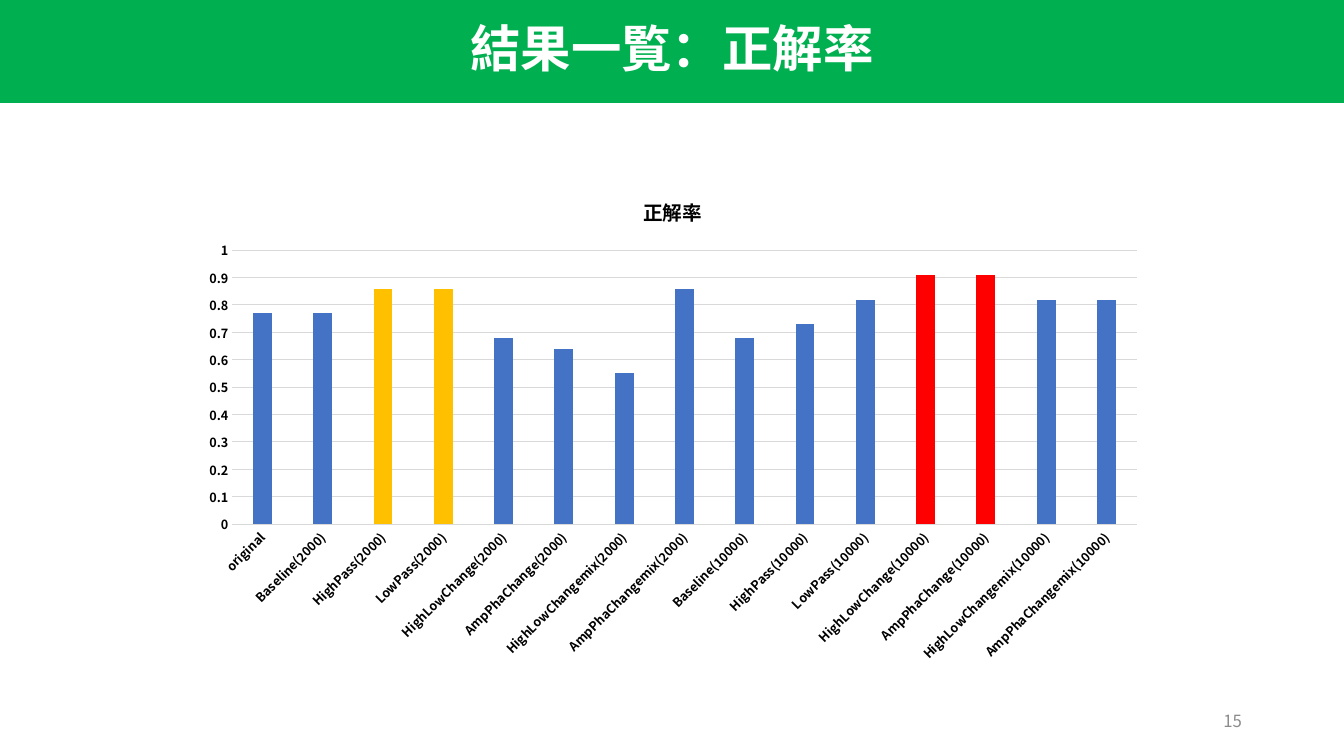
from lxml import etree
from pptx import Presentation
from pptx.chart.data import CategoryChartData
from pptx.dml.color import RGBColor
from pptx.enum.chart import XL_CHART_TYPE, XL_TICK_MARK
from pptx.enum.text import MSO_ANCHOR, MSO_AUTO_SIZE, PP_ALIGN
from pptx.oxml.ns import qn
from pptx.util import Emu, Pt

COLUMN = XL_CHART_TYPE.COLUMN_CLUSTERED
NO_TICK = XL_TICK_MARK.NONE
MIDDLE = MSO_ANCHOR.MIDDLE
NO_AUTOFIT = MSO_AUTO_SIZE.NONE
CENTER, RIGHT = PP_ALIGN.CENTER, PP_ALIGN.RIGHT

EMU_PER_PX = 914400 / 100.8
FONT = "Noto Sans CJK JP"
TITLE_ONLY_LAYOUT = 5
COLORS = {
    "banner": "00B050", "white": "FFFFFF", "black": "000000", "number": "8C8C8C",
    "grid": "D9D9D9", "bar": "4472C4", "good": "FFC000", "best": "FF0000",
}

# Accuracy of each method, with the colour of its bar
ACCURACY = [
    ("original", 0.77, "bar"),
    ("Baseline(2000)", 0.77, "bar"),
    ("HighPass(2000)", 0.86, "good"),
    ("LowPass(2000)", 0.86, "good"),
    ("HighLowChange(2000)", 0.68, "bar"),
    ("AmpPhaChange(2000)", 0.64, "bar"),
    ("HighLowChangemix(2000)", 0.55, "bar"),
    ("AmpPhaChangemix(2000)", 0.86, "bar"),
    ("Baseline(10000)", 0.68, "bar"),
    ("HighPass(10000)", 0.73, "bar"),
    ("LowPass(10000)", 0.82, "bar"),
    ("HighLowChange(10000)", 0.91, "best"),
    ("AmpPhaChange(10000)", 0.91, "best"),
    ("HighLowChangemix(10000)", 0.82, "bar"),
    ("AmpPhaChangemix(10000)", 0.82, "bar"),
]


def px(length):
    return Emu(round(length * EMU_PER_PX))


def color(name):
    return RGBColor.from_string(COLORS[name])


def style_font(font, size, color_name, bold=False):
    font.name, font.size, font.bold = FONT, Pt(size), bold
    font.color.rgb = color(color_name)


def use_east_asian_font(element):
    """Apply the same typeface to Japanese characters."""
    for latin in list(element.iter(qn("a:latin"))):
        east_asian = etree.Element(qn("a:ea"), typeface=FONT)
        latin.addnext(east_asian)


def style_line(line, color_name):
    line.color.rgb = color(color_name)
    line.width = Pt(0.75)


def write_text(shape, text, size, color_name, alignment, bold=False):
    frame = shape.text_frame
    frame.word_wrap = True
    frame.auto_size = NO_AUTOFIT
    frame.vertical_anchor = MIDDLE
    paragraph = frame.paragraphs[0]
    paragraph.alignment = alignment
    run = paragraph.add_run()
    run.text = text
    style_font(run.font, size, color_name, bold)
    use_east_asian_font(shape.element)


def add_banner_title(slide, text):
    title = slide.shapes.title
    title.left, title.top, title.width, title.height = px(0), px(-8), px(1344), px(111)
    title.fill.solid()
    title.fill.fore_color.rgb = color("banner")
    write_text(title, text, 36, "white", CENTER, bold=True)


def add_page_number(slide, text):
    box = slide.shapes.add_textbox(px(950), px(701), px(302), px(40))
    write_text(box, text, 12, "number", RIGHT)


def style_axes(chart):
    for axis in (chart.category_axis, chart.value_axis):
        axis.major_tick_mark = axis.minor_tick_mark = NO_TICK
        style_font(axis.tick_labels.font, 9, "black", bold=True)
    style_line(chart.category_axis.format.line, "grid")
    value_axis = chart.value_axis
    value_axis.minimum_scale, value_axis.maximum_scale = 0, 1
    value_axis.major_unit = 0.1
    value_axis.format.line.fill.background()
    style_line(value_axis.major_gridlines.format.line, "grid")
    value_axis.tick_labels.number_format = "General"
    value_axis.tick_labels.number_format_is_linked = False
    # Slant the category labels by 45 degrees
    for body in chart.element.xpath(".//c:catAx/c:txPr/a:bodyPr"):
        body.set("rot", "-2700000")
        body.set("vert", "horz")


def add_accuracy_chart(slide, title):
    data = CategoryChartData()
    data.categories = [method for method, _, _ in ACCURACY]
    data.add_series(title, [value for _, value, _ in ACCURACY])
    frame = slide.shapes.add_chart(COLUMN, px(190), px(176), px(966), px(496), data)
    chart = frame.chart
    style_font(chart.font, 10, "black")
    chart.has_legend = False

    # Chart title
    chart.has_title = True
    run = chart.chart_title.text_frame.paragraphs[0].add_run()
    run.text = title
    style_font(run.font, 14, "black", bold=True)
    chart.chart_title.include_in_layout = False

    # Bars
    plot = chart.plots[0]
    plot.gap_width, plot.overlap = 219, -27
    plot.vary_by_categories = False
    series = plot.series[0]
    series.invert_if_negative = False
    series.format.fill.solid()
    series.format.fill.fore_color.rgb = color("bar")
    for index, (_, _, color_name) in enumerate(ACCURACY):
        if color_name != "bar":
            fill = series.points[index].format.fill
            fill.solid()
            fill.fore_color.rgb = color(color_name)

    style_axes(chart)
    use_east_asian_font(chart.element)


def main():
    presentation = Presentation()
    presentation.slide_width, presentation.slide_height = px(1344), px(756)
    slide = presentation.slides.add_slide(presentation.slide_layouts[TITLE_ONLY_LAYOUT])
    add_accuracy_chart(slide, "正解率")
    add_banner_title(slide, "結果一覧：正解率")
    add_page_number(slide, "15")
    presentation.save("out.pptx")


if __name__ == "__main__":
    main()
